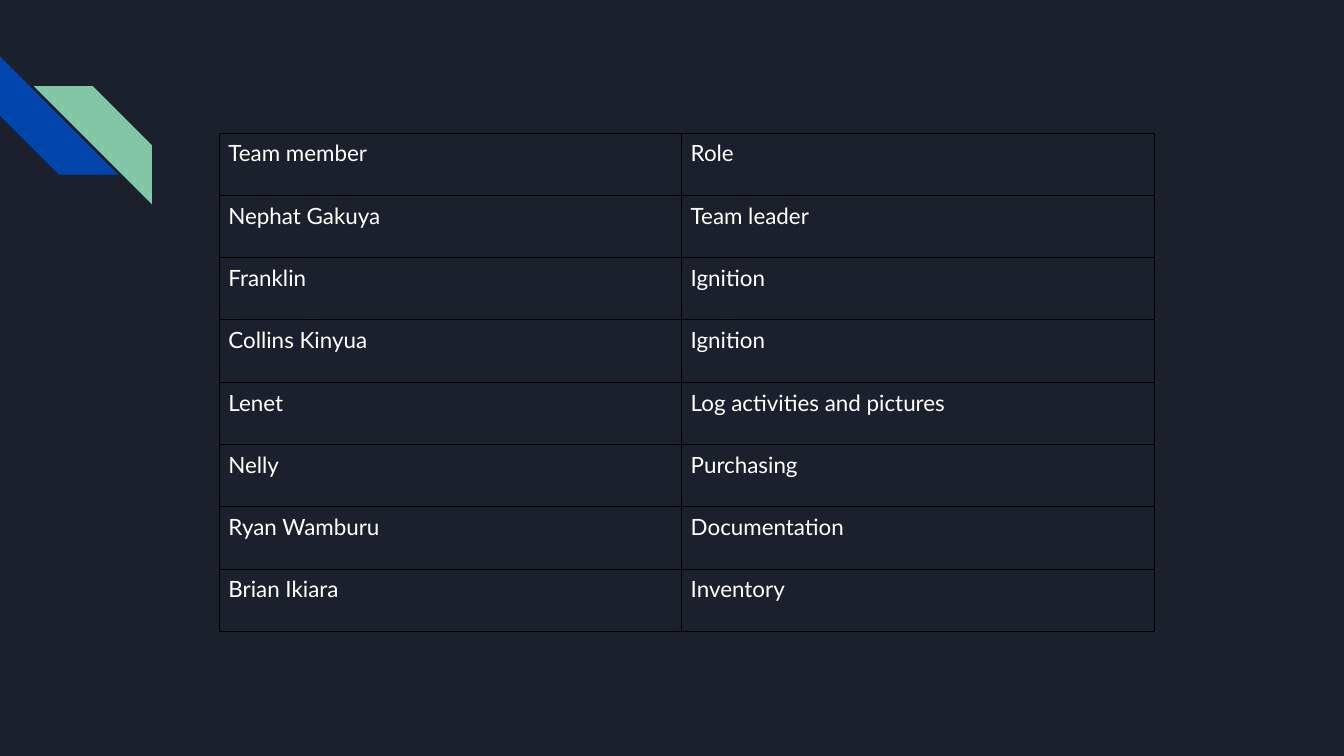
from pptx import Presentation
from pptx.dml.color import RGBColor
from pptx.enum.shapes import MSO_SHAPE
from pptx.oxml.ns import qn
from pptx.util import Inches, Pt
from lxml import etree

STRIPE = MSO_SHAPE.DIAGONAL_STRIPE

# Content
TEAM = [
    ("Team member", "Role"),
    ("Nephat Gakuya", "Team leader"),
    ("Franklin", "Ignition"),
    ("Collins Kinyua", "Ignition"),
    ("Lenet", "Log activities and pictures"),
    ("Nelly", "Purchasing"),
    ("Ryan Wamburu", "Documentation"),
    ("Brian Ikiara", "Inventory"),
]

THEME = {
    "background": "1B212C", "blue": "0145AC", "green": "82C7A5",
    "text": "FFFFFF", "border": "000000",
    "font": "Lato", "size": Pt(12), "spacing": Pt(12), "border_width": Pt(0.6),
}

# Layout, in inches
SLIDE_WIDTH = 10
SLIDE_HEIGHT = SLIDE_WIDTH * 9 / 16
STRIPE_SIZE = 0.88
STRIPES = [  # left, top, colour, rotation, mirrored
    (0, 0.42, "blue", 270, False),
    (0.25, 0.64, "green", 0, True),
]
TABLE_LEFT, TABLE_TOP, TABLE_HEIGHT = 1.63, 0.99, 3.71
COLUMNS = [3.44, 3.52]
INSET_X, INSET_Y = 0.07, 0.05


def color(name):
    return RGBColor.from_string(THEME[name])


def add_stripe(slide, left, top, fill, rotation, mirrored):
    s = slide.shapes.add_shape(STRIPE, Inches(left), Inches(top),
                               Inches(STRIPE_SIZE), Inches(STRIPE_SIZE))
    s.shadow.inherit = False
    s.fill.solid()
    s.fill.fore_color.rgb = color(fill)
    s.line.fill.background()
    s.rotation = rotation
    if mirrored:
        s._element.spPr.find(qn("a:xfrm")).set("flipH", "1")


def add_borders(cell):
    tc_pr = cell._tc.get_or_add_tcPr()
    for i, side in enumerate(("lnL", "lnR", "lnT", "lnB")):
        line = etree.Element(qn(f"a:{side}"), w=str(THEME["border_width"]))
        fill = etree.SubElement(line, qn("a:solidFill"))
        etree.SubElement(fill, qn("a:srgbClr"), val=THEME["border"])
        tc_pr.insert(i, line)


def fill_cell(cell, text):
    cell.fill.background()
    cell.margin_left = cell.margin_right = Inches(INSET_X)
    cell.margin_top = cell.margin_bottom = Inches(INSET_Y)
    p = cell.text_frame.paragraphs[0]
    p.space_before = p.space_after = THEME["spacing"]
    r = p.add_run()
    r.text = text
    r.font.name = THEME["font"]
    r.font.size = THEME["size"]
    r.font.bold = False
    r.font.color.rgb = color("text")
    add_borders(cell)


def add_team_table(slide):
    table = slide.shapes.add_table(
        len(TEAM), len(COLUMNS), Inches(TABLE_LEFT), Inches(TABLE_TOP),
        Inches(sum(COLUMNS)), Inches(TABLE_HEIGHT)).table
    table.first_row = table.horz_banding = False
    for column, width in zip(table.columns, COLUMNS):
        column.width = Inches(width)
    for i, row in enumerate(TEAM):
        table.rows[i].height = Inches(TABLE_HEIGHT / len(TEAM))
        for j, text in enumerate(row):
            fill_cell(table.cell(i, j), text)


def main():
    prs = Presentation()
    prs.slide_width = Inches(SLIDE_WIDTH)
    prs.slide_height = Inches(SLIDE_HEIGHT)
    slide = prs.slides.add_slide(prs.slide_layouts[6])
    slide.background.fill.solid()
    slide.background.fill.fore_color.rgb = color("background")

    # Corner decoration
    for stripe in STRIPES:
        add_stripe(slide, *stripe)

    # Team and roles
    add_team_table(slide)
    prs.save("out.pptx")


if __name__ == "__main__":
    main()
